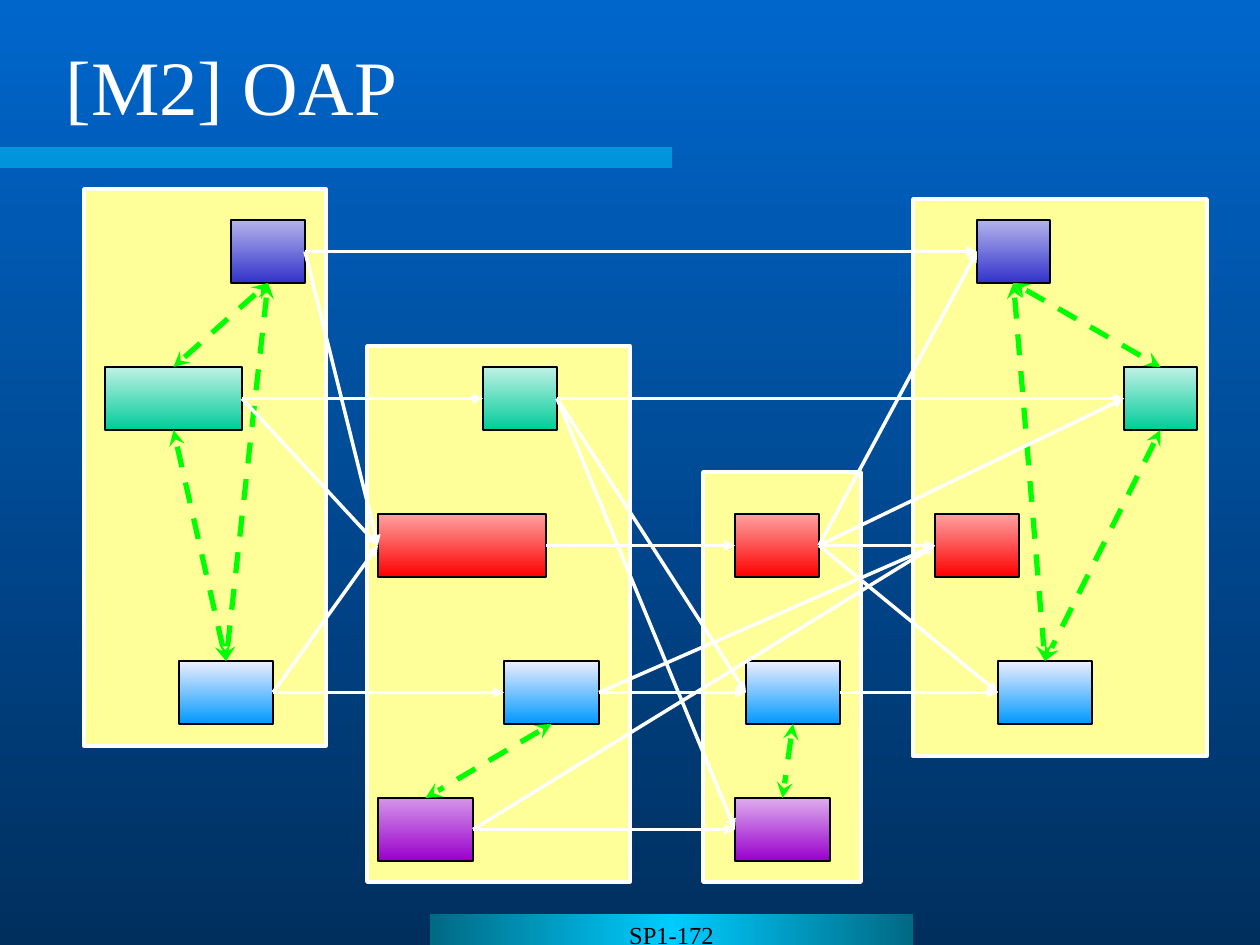
"""Build the [M2] OAP slide: four panels of blocks joined by flows and two-way links."""
from copy import deepcopy
from dataclasses import dataclass

from lxml import etree
from pptx import Presentation
from pptx import util as u
from pptx.dml.color import RGBColor
from pptx.enum import dml, shapes, text
from pptx.oxml.ns import qn

SCALE = u.Inches(1) / 126
TOP, LEFT, BOTTOM, RIGHT = range(4)


@dataclass(frozen=True)
class Theme:
    font: str = "Times New Roman"
    title_size: int = 44
    footer_size: int = 14
    backdrop: tuple = ("0066CC", "002F5E")
    footer: tuple = ("006984", "00CCFF", "006984")
    accent: str = "00CCFF"
    panel: str = "FFFF99"
    light: str = "FFFFFF"
    dark: str = "000000"
    link: str = "00FF00"


THEME = Theme()
TITLE = ("[M2] OAP", (53, 32, 1165, 105))
FOOTER = ("SP1-172", (430, 914, 483, 31))
ACCENT_BAR = (0, 147, 672, 21)
PANELS = [
    (913, 199, 294, 557),
    (703, 472, 158, 410),
    (367, 346, 263, 536),
    (84, 189, 242, 557),
]
BLOCK_HEIGHT = 63
ROWS = {
    "indigo": (220, ("B3B3EB", "3333CC")),
    "green": (367, ("C0F1E5", "00CC99")),
    "red": (514, ("FEA1A1", "FF0000")),
    "blue": (661, ("EEEEFF", "0099FF")),
    "violet": (798, ("D495E9", "9900CC")),
    "pale violet": (798, ("DDADED", "9900CC")),
}
BLOCKS = {
    "green 1": ("green", 105, 137),
    "indigo 1": ("indigo", 231, 74),
    "red 2": ("red", 378, 168),
    "red 3": ("red", 735, 84),
    "indigo 4": ("indigo", 977, 73),
    "green 2": ("green", 483, 74),
    "green 4": ("green", 1124, 73),
    "red 4": ("red", 935, 84),
    "blue 1": ("blue", 179, 94),
    "blue 2": ("blue", 504, 95),
    "blue 3": ("blue", 746, 94),
    "blue 4": ("blue", 998, 94),
    "violet 2": ("violet", 378, 95),
    "violet 3": ("pale violet", 735, 95),
}
ROW_FLOWS = [
    ("indigo 1", "indigo 4"),
    ("green 1", "green 2"),
    ("green 2", "green 4"),
    ("red 2", "red 3"),
    ("red 3", "red 4"),
    ("blue 1", "blue 2"),
    ("blue 2", "blue 3"),
    ("blue 3", "blue 4"),
    ("violet 2", "violet 3"),
]
LINKS = [
    ("green 1", TOP, "indigo 1", BOTTOM),
    ("blue 1", TOP, "indigo 1", BOTTOM),
    ("blue 1", TOP, "green 1", BOTTOM),
    ("blue 2", BOTTOM, "violet 2", TOP),
    ("blue 3", BOTTOM, "violet 3", TOP),
    ("indigo 4", BOTTOM, "blue 4", TOP),
    ("green 4", BOTTOM, "blue 4", TOP),
    ("indigo 4", BOTTOM, "green 4", TOP),
]
CROSS_FLOWS = [
    ("indigo 1", "red 2"),
    ("green 1", "red 2"),
    ("blue 1", "red 2"),
    ("green 2", "blue 3"),
    ("green 2", "violet 3"),
    ("blue 2", "red 4"),
    ("violet 2", "red 4"),
    ("red 3", "indigo 4"),
    ("red 3", "green 4"),
    ("red 3", "blue 4"),
]


def emu(*lengths):
    return [round(length * SCALE) for length in lengths]


def rgb(colour):
    return RGBColor.from_string(colour)


def paint_gradient(fill, element, colours, angle):
    fill.gradient()
    fill.gradient_angle = angle
    stop_list = element.find(".//" + qn("a:gsLst"))
    for _ in colours[2:]:
        stop_list.append(deepcopy(stop_list[0]))
    for index, (stop, colour) in enumerate(zip(fill.gradient_stops, colours)):
        stop.color.rgb = rgb(colour)
        stop.position = index / (len(colours) - 1)


def add_box(slide, frame, fill, line=None, width=0, kind=shapes.MSO_SHAPE.RECTANGLE, angle=270):
    box = slide.shapes.add_shape(kind, *emu(*frame))
    box.shadow.inherit = False
    if isinstance(fill, tuple):
        paint_gradient(box.fill, box.element, fill, angle)
    else:
        box.fill.solid()
        box.fill.fore_color.rgb = rgb(fill)
    if line:
        box.line.color.rgb = rgb(line)
        box.line.width = u.Pt(width)
    else:
        box.line.fill.background()
    return box


def write(box, words, size, colour, align, anchor):
    frame = box.text_frame
    frame.word_wrap = True
    frame.vertical_anchor = anchor
    frame.text = words
    paragraph = frame.paragraphs[0]
    paragraph.alignment = align
    font = paragraph.runs[0].font
    font.name, font.size = THEME.font, u.Pt(size)
    font.color.rgb = rgb(colour)


def join(slide, start, start_side, end, end_side, two_way=False):
    arrow = slide.shapes.add_connector(shapes.MSO_CONNECTOR.STRAIGHT, 0, 0, 0, 0)
    arrow.begin_connect(start, start_side)
    arrow.end_connect(end, end_side)
    arrow.line.color.rgb = rgb(THEME.link if two_way else THEME.light)
    arrow.line.width = u.Pt(3 if two_way else 2)
    if two_way:
        arrow.line.dash_style = dml.MSO_LINE.DASH
    outline = arrow.line._get_or_add_ln()
    for end_tag in ("a:headEnd", "a:tailEnd") if two_way else ("a:tailEnd",):
        etree.SubElement(outline, qn(end_tag), type="stealth" if two_way else "triangle")
    etree.SubElement(arrow.element.spPr, qn("a:effectLst"))


def main():
    deck = Presentation()
    deck.slide_width, deck.slide_height = emu(1260, 945)
    slide = deck.slides.add_slide(deck.slide_layouts[6])
    paint_gradient(slide.background.fill, slide.element, THEME.backdrop, 270)

    bar = add_box(slide, ACCENT_BAR, THEME.accent)
    bar_colour = bar.element.spPr.find(".//" + qn("a:srgbClr"))
    etree.SubElement(bar_colour, qn("a:alpha"), val="50000")
    words, frame = FOOTER
    footer = add_box(slide, frame, THEME.footer, angle=0)
    write(footer, words, THEME.footer_size, THEME.dark, text.PP_ALIGN.CENTER, text.MSO_ANCHOR.TOP)
    for frame in PANELS:
        add_box(slide, frame, THEME.panel, THEME.light, 2)
    words, frame = TITLE
    title = slide.shapes.add_textbox(*emu(*frame))
    write(title, words, THEME.title_size, THEME.light, text.PP_ALIGN.LEFT, text.MSO_ANCHOR.MIDDLE)

    blocks = {}
    for name, (row, left, width) in BLOCKS.items():
        top, colours = ROWS[row]
        block = add_box(slide, (left, top, width, BLOCK_HEIGHT), colours, THEME.dark, 0.75,
                        shapes.MSO_SHAPE.ROUNDED_RECTANGLE)
        block.adjustments[0] = 0
        blocks[name] = block

    for start, end in ROW_FLOWS:
        join(slide, blocks[start], RIGHT, blocks[end], LEFT)
    for start, start_side, end, end_side in LINKS:
        join(slide, blocks[start], start_side, blocks[end], end_side, two_way=True)
    for start, end in CROSS_FLOWS:
        join(slide, blocks[start], RIGHT, blocks[end], LEFT)
    deck.save("out.pptx")


if __name__ == "__main__":
    main()
